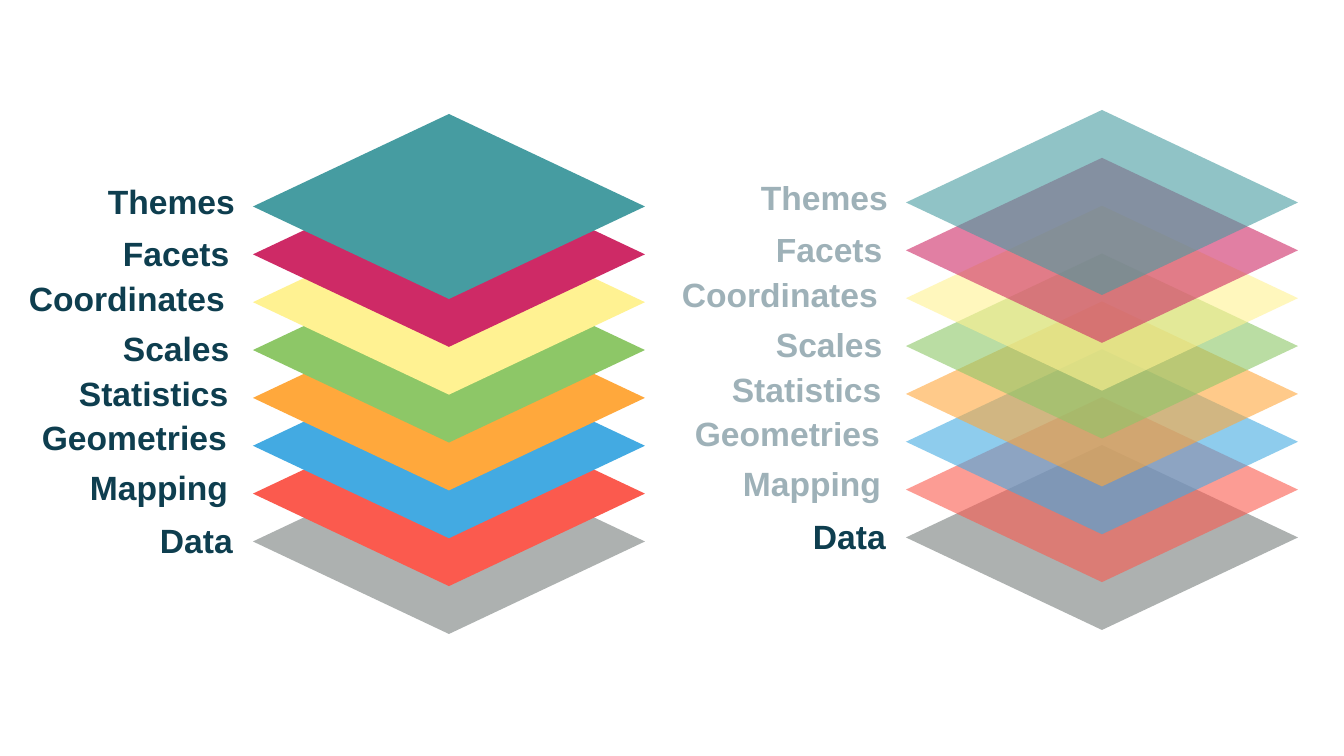
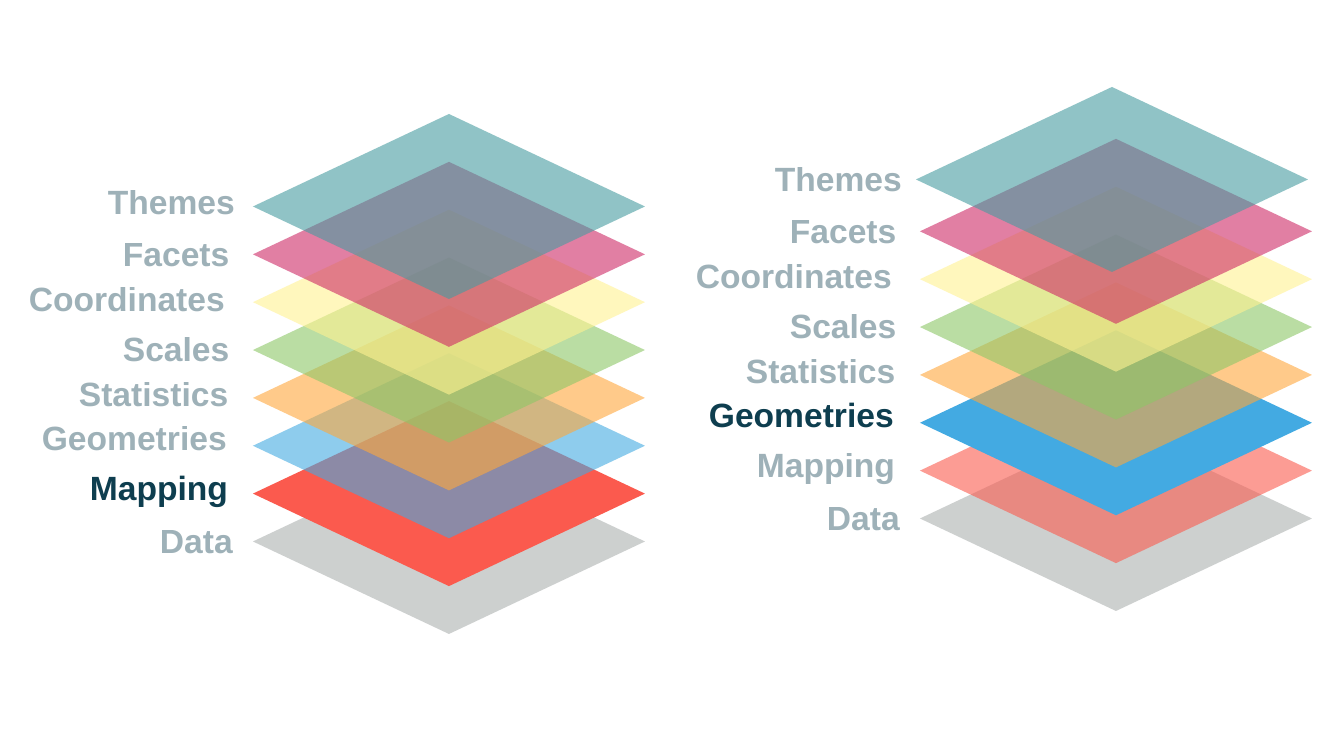
from dataclasses import dataclass

from lxml import etree
from pptx import Presentation
from pptx import util as u
from pptx.dml.color import RGBColor
from pptx.enum import shapes, text
from pptx.oxml import ns

PX = 12192000 / 1344
SLIDE_SIZE = (1344, 756)


@dataclass(frozen=True)
class Theme:
    ink: str = "0E3E4F"
    font: str = "Arial"
    label_size: int = 24
    faded_layer: int = 60
    faded_label: int = 40


THEME = Theme()

# name, colour, label width, label top
LAYERS = [
    ("Data", "ADB1B0", 96, 515),
    ("Mapping", "FB5A4E", 166, 462),
    ("Geometries", "43AAE2", 214, 412),
    ("Statistics", "FFA83C", 177, 368),
    ("Scales", "8DC767", 133, 323),
    ("Coordinates", "FFF292", 227, 273),
    ("Facets", "CE2A66", 133, 228),
    ("Themes", "469CA1", 148, 176),
]
EVERY_LAYER = {name for name, *rest in LAYERS}

SLIDES = [
    [
        {"offset": (0, 0), "focus": EVERY_LAYER},
        {"offset": (653, -4), "focus": {"Data"}},
    ],
    [
        {"offset": (0, 0), "focus": {"Mapping"}},
        {"offset": (667, -23), "focus": {"Geometries"}, "nudge": {"Themes": (-4, -4)}},
    ],
]

DIAMOND_LEFT, DIAMOND_WIDTH, DIAMOND_HEIGHT = 253, 392, 185
LOWEST_TOP, HIGHEST_TOP = 449, 114
PITCH = (LOWEST_TOP - HIGHEST_TOP) / (len(LAYERS) - 1)
LABEL_RIGHT, LABEL_HEIGHT = 246, 50


def px(*lengths):
    return [u.Emu(round(length * PX)) for length in lengths]


def paint(fill, colour, opacity):
    fill.solid()
    fill.fore_color.rgb = RGBColor.from_string(colour)
    if opacity < 100:
        for element in fill._xPr.iter(ns.qn("a:srgbClr")):
            etree.SubElement(element, ns.qn("a:alpha"), val=str(opacity * 1000))


def add_diamond(group, left, top, colour, opacity):
    shape = group.shapes.add_shape(
        shapes.MSO_SHAPE.FLOWCHART_DECISION, *px(left, top, DIAMOND_WIDTH, DIAMOND_HEIGHT))
    shape.shadow.inherit = False
    shape.line.fill.background()
    paint(shape.fill, colour, opacity)


def add_label(group, left, top, width, name, opacity):
    frame = group.shapes.add_textbox(*px(left, top, width, LABEL_HEIGHT)).text_frame
    frame.word_wrap = True
    frame.auto_size = text.MSO_AUTO_SIZE.SHAPE_TO_FIT_TEXT
    run = frame.paragraphs[0].add_run()
    run.text = name
    run.font.name = THEME.font
    run.font.size = u.Pt(THEME.label_size)
    run.font.bold = True
    paint(run.font.fill, THEME.ink, opacity)


def add_stack(slide, offset, focus, nudge={}):
    group = slide.shapes.add_group_shape()
    x, y = offset
    for level, (name, colour, width, label_top) in enumerate(LAYERS):
        shift_x, shift_y = nudge.get(name, (0, 0))
        top = LOWEST_TOP - level * PITCH
        in_focus = name in focus
        add_diamond(group, DIAMOND_LEFT + x + shift_x, top + y + shift_y, colour,
                    100 if in_focus else THEME.faded_layer)
        add_label(group, LABEL_RIGHT - width + x, label_top + y, width, name,
                  100 if in_focus else THEME.faded_label)


def main():
    presentation = Presentation()
    presentation.slide_width, presentation.slide_height = px(*SLIDE_SIZE)
    for stacks in SLIDES:
        slide = presentation.slides.add_slide(presentation.slide_layouts[6])
        for stack in stacks:
            add_stack(slide, **stack)
    presentation.save("out.pptx")


if __name__ == "__main__":
    main()
